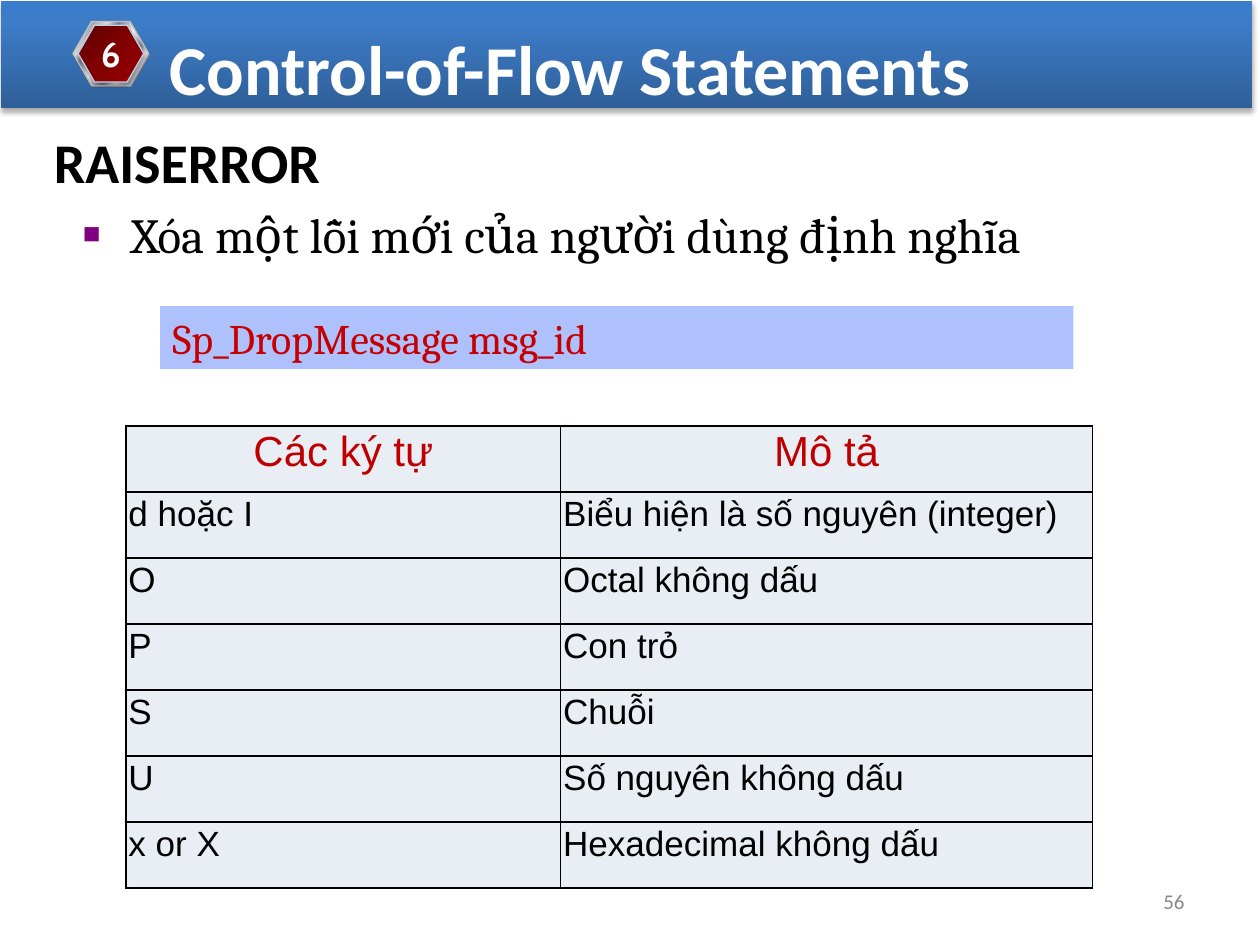
import pptx
import pptx.dml.color
import pptx.enum.shapes
import pptx.enum.text
import pptx.oxml
import pptx.oxml.ns
import pptx.util
from dataclasses import dataclass
from lxml import etree

ALIGN = pptx.enum.text.PP_ALIGN
ANCHOR = pptx.enum.text.MSO_ANCHOR
SHAPE = pptx.enum.shapes.MSO_SHAPE
COLUMNS, ROWS = 100, 75
UNIT = pptx.util.Inches(10) / COLUMNS


@dataclass(frozen=True)
class Theme:
    white: str = "FFFFFF"
    black: str = "000000"
    red: str = "C00000"
    code_red: str = "C60000"
    code_fill: str = "AEC1FC"
    cell_fill: str = "E9EDF4"
    bullet: str = "800080"
    page_gray: str = "898989"
    badge_gray: str = "808080"
    rim_line: str = "C0C0C0"
    core_line: str = "C2D1ED"
    banner: tuple = ((0, "2F5F99"), (80, "3D7CC7"), (100, "3A7CCB"))
    rim: tuple = ((0, "E6E6E6"), (8, "7D8496"), (26, "E6E6E6"), (34, "7D8496"),
                  (46, "E6E6E6"), (50, "FFFFFF"), (54, "E6E6E6"), (66, "7D8496"),
                  (74, "E6E6E6"), (92, "7D8496"), (100, "E6E6E6"))
    core: tuple = ((0, "5B0000"), (50, "810000"), (100, "990000"))
    heading_font: str = "Calibri"
    body_font: str = "Cambria"
    table_font: str = "Arial"
    badge_font: str = "Cabin"
    title_size: int = 40
    heading_size: int = 32
    body_size: int = 28
    code_size: int = 24
    cell_size: int = 20
    page_size: int = 12


THEME = Theme()


def grid(*counts):
    return [pptx.util.Emu(round(count * UNIT)) for count in counts]


def rgb(value):
    return pptx.dml.color.RGBColor.from_string(value)


def child(parent, tag, **attributes):
    return etree.SubElement(parent, pptx.oxml.ns.qn(tag), attributes)


def write(paragraph, text, font, size, color, bold=False, align=ALIGN.LEFT, before=0):
    paragraph.alignment = align
    paragraph.space_before = pptx.util.Pt(before)
    run = paragraph.add_run()
    run.text = text
    run.font.name = font
    run.font.size = pptx.util.Pt(size)
    run.font.bold = bold
    run.font.color.rgb = rgb(color)


def paint_gradient(shape, stops, angle):
    shape.fill.gradient()
    shape.fill.gradient_angle = (360 - angle) % 360
    stop_list = shape._element.spPr.find(".//" + pptx.oxml.ns.qn("a:gsLst"))
    stop_list.clear()
    for position, color in stops:
        stop = child(stop_list, "a:gs", pos=str(position * 1000))
        child(stop, "a:srgbClr", val=color)


def add_shadow(shape, opacity, blur, distance):
    effects = shape._element.spPr.find(pptx.oxml.ns.qn("a:effectLst"))
    shadow = child(effects, "a:outerShdw", blurRad=str(pptx.util.Pt(blur)),
                   dist=str(pptx.util.Pt(distance)), dir="5400000", rotWithShape="0")
    color = child(shadow, "a:srgbClr", val=THEME.black)
    child(color, "a:alpha", val=str(opacity * 1000))


def add_panel(shapes, kind, place, fill, angle=0, line=None):
    shape = shapes.add_shape(kind, *grid(*place))
    shape.shadow.inherit = False
    if isinstance(fill, tuple):
        paint_gradient(shape, fill, angle)
    else:
        shape.fill.solid()
        shape.fill.fore_color.rgb = rgb(fill)
    if line:
        shape.line.color.rgb = rgb(line)
        shape.line.width = pptx.util.Pt(0.75)
    else:
        shape.line.fill.background()
    return shape


def add_text(slide, place, text, font, size, color, anchor=ANCHOR.TOP, **style):
    box = slide.shapes.add_textbox(*grid(*place))
    box.text_frame.word_wrap = True
    box.text_frame.vertical_anchor = anchor
    paragraph = box.text_frame.paragraphs[0]
    write(paragraph, text, font, size, color, **style)
    return paragraph


def add_bullet(paragraph, indent):
    properties = paragraph._p.get_or_add_pPr()
    properties.set("marL", str(indent))
    properties.set("indent", str(-indent))
    child(child(properties, "a:buClr"), "a:srgbClr", val=THEME.bullet)
    child(properties, "a:buSzPct", val="60000")
    child(properties, "a:buFont", typeface=THEME.table_font)
    child(properties, "a:buChar", char="■")


def add_badge(slide, number):
    group = slide.shapes.add_group_shape()
    layers = (
        ((5.9, 1.8, 6, 5.1), THEME.badge_gray, None),
        ((5.8, 1.7, 6, 5.1), THEME.rim, THEME.rim_line),
        ((6.2, 2, 5.2, 4.5), THEME.core, THEME.core_line),
    )
    for place, fill, line in layers:
        hexagon = add_panel(group.shapes, SHAPE.HEXAGON, place, fill, 45, line)
        hexagon.adjustments[0] = 0.289
        hexagon.adjustments[1] = 1.155
    add_shadow(hexagon, 38, 3.1, 1.6)
    frame = hexagon.text_frame
    frame.word_wrap = False
    frame.vertical_anchor = ANCHOR.MIDDLE
    write(frame.paragraphs[0], number, THEME.badge_font, THEME.cell_size,
          THEME.white, bold=True, align=ALIGN.CENTER)


def add_code(slide, place, text):
    panel = add_panel(slide.shapes, SHAPE.RECTANGLE, place, THEME.code_fill)
    panel.text_frame.word_wrap = True
    panel.text_frame.vertical_anchor = ANCHOR.BOTTOM
    write(panel.text_frame.paragraphs[0], text, THEME.body_font, THEME.code_size,
          THEME.code_red, before=THEME.code_size * 0.2)


def style_cell(cell):
    cell.margin_left, cell.margin_top, cell.margin_right, cell.margin_bottom = grid(*[0.2] * 4)
    properties = cell._tc.get_or_add_tcPr()
    for side in ("a:lnL", "a:lnR", "a:lnT", "a:lnB"):
        border = child(properties, side, w=str(pptx.util.Pt(1)))
        child(child(border, "a:solidFill"), "a:srgbClr", val=THEME.black)
    cell.fill.solid()
    cell.fill.fore_color.rgb = rgb(THEME.cell_fill)


def add_grid_table(slide, place, widths, rows):
    table = slide.shapes.add_table(len(rows), len(widths), *grid(*place)).table
    for column, width in zip(table.columns, grid(*widths)):
        column.width = width
    for row_index, texts in enumerate(rows):
        header = row_index == 0
        for column_index, text in enumerate(texts):
            cell = table.cell(row_index, column_index)
            style_cell(cell)
            write(cell.text_frame.paragraphs[0], text, THEME.table_font,
                  THEME.code_size if header else THEME.cell_size,
                  THEME.red if header else THEME.black,
                  align=ALIGN.CENTER if header else ALIGN.JUSTIFY, before=4)


def main():
    presentation = pptx.Presentation()
    presentation.slide_width, presentation.slide_height = grid(COLUMNS, ROWS)
    slide = presentation.slides.add_slide(presentation.slide_layouts[6])
    add_text(slide, (71.7, 69.5, 23.3, 4), "56", THEME.heading_font, THEME.page_size,
             THEME.page_gray, ANCHOR.MIDDLE, align=ALIGN.RIGHT)
    banner = add_panel(slide.shapes, SHAPE.RECTANGLE, (0.1, 0.1, 99.3, 8.5), THEME.banner, 270)
    add_shadow(banner, 35, 3.1, 1.8)
    add_text(slide, (12.5, 1.5, 75.8, 7.7), "Control-of-Flow Statements",
             THEME.heading_font, THEME.title_size, THEME.white, bold=True)
    add_badge(slide, "6")
    add_text(slide, (3.3, 9.6, 91.7, 24.2), "RAISERROR", THEME.heading_font,
             THEME.heading_size, THEME.black, bold=True, before=THEME.heading_size * 0.2)
    add_grid_table(slide, (10, 33.8, 76.7, 36.7), (34.5, 42.2), (
        ("Các ký tự", "Mô tả"),
        ("d hoặc I", "Biểu hiện là số nguyên (integer)"),
        ("O", "Octal không dấu"),
        ("P", "Con trỏ"),
        ("S", "Chuỗi"),
        ("U", "Số nguyên không dấu"),
        ("x or X", "Hexadecimal không dấu"),
    ))
    point = add_text(slide, (5.6, 15.7, 85, 5.2), "Xóa một lỗi mới của người dùng định nghĩa",
                     THEME.body_font, THEME.body_size, THEME.black, before=THEME.body_size * 0.2)
    add_bullet(point, grid(3.8)[0])
    add_code(slide, (12.7, 24.3, 72.5, 5), "Sp_DropMessage msg_id")
    presentation.save("out.pptx")


if __name__ == "__main__":
    main()
